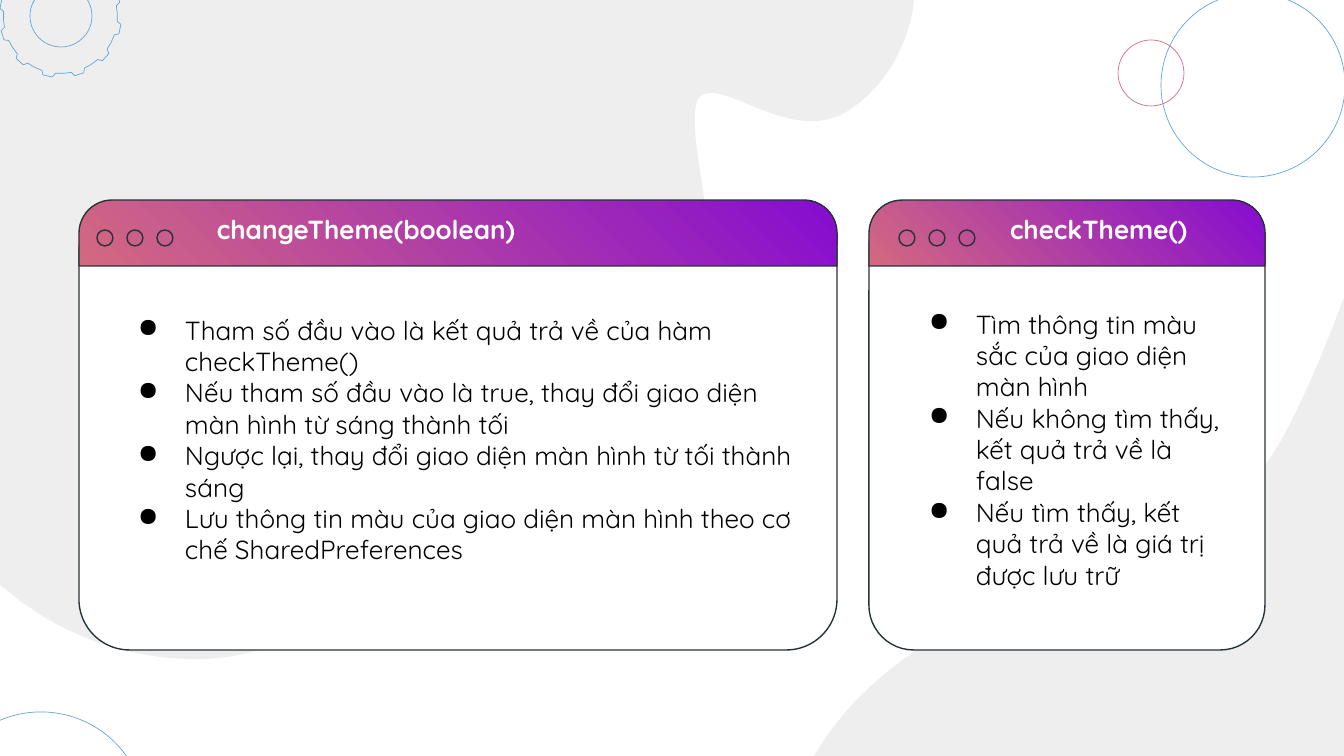
from math import cos, radians, sin

from lxml.etree import SubElement
from pptx import Presentation
from pptx.dml.color import RGBColor
from pptx.enum.shapes import MSO_SHAPE
from pptx.enum.text import MSO_AUTO_SIZE
from pptx.oxml.ns import qn
from pptx.util import Emu, Pt

WHITE = RGBColor(0xFF, 0xFF, 0xFF)
BLACK = RGBColor(0x00, 0x00, 0x00)
GRAY = RGBColor(0xD6, 0xD7, 0xD7)
BLUE = RGBColor(0x63, 0xA4, 0xD5)
PINK = RGBColor(0xD3, 0x69, 0x80)
PURPLE = RGBColor(0x86, 0x0C, 0xD1)
DARK = RGBColor(0x26, 0x32, 0x38)
FONT = "Quicksand"
SCALE = 914400 / 134.4  # EMU in one px


def px(*lengths):
    return [Emu(round(length * SCALE)) for length in lengths]


def outline(shape, color, width):
    shape.shadow.inherit = False
    shape.fill.background()
    shape.line.color.rgb = color
    shape.line.width = Pt(width)


presentation = Presentation()
presentation.slide_width, presentation.slide_height = px(1344, 756)
slide = presentation.slides.add_slide(presentation.slide_layouts[6])
shapes = slide.shapes

# Background blobs: one point is a straight edge, three points are a Bézier curve
upper_blob = [
    [(207, 659)],
    [(277, 655), (339, 622), (371, 569)],
    [(426, 476), (414, 320), (477, 316)],
    [(527, 317), (556, 382), (605, 379)],
    [(620, 379), (637, 371), (657, 352)],
    [(743, 274), (691, 177), (695, 114)],
    [(695, 98), (702, 93), (710, 93)],
    [(732, 91), (775, 124), (816, 121)],
    [(824, 121), (831, 118), (839, 116)],
    [(898, 86), (922, 11), (913, -31)],
    [(903, -74), (930, -130), (930, -130)],
    [(-145, -71)],
    [(-145, -71), (-146, 210), (-109, 396)],
    [(-109, 396), (-81, 542), (44, 617)],
    [(98, 649), (155, 661), (207, 659)],
]
lower_blob = [
    [(722, 954)],
    [(1434, 1118)],
    [(1683, 34)],
    [(1672, 34), (1493, 31), (1434, 101)],
    [(1374, 175), (1352, 310), (1281, 441)],
    [(1208, 570), (1055, 567), (942, 634)],
    [(828, 702), (796, 775), (769, 870)],
    [(757, 910), (739, 935), (722, 954)],
]
STEPS = 16
for segments in (upper_blob, lower_blob):
    points = [segments[0][0]]
    for segment in segments[1:]:
        if len(segment) == 1:
            points += segment
            continue
        controls = [points[-1]] + segment
        for step in range(1, STEPS + 1):
            t = step / STEPS
            weights = [(1 - t) ** 3, 3 * t * (1 - t) ** 2, 3 * t * t * (1 - t), t ** 3]
            points.append(tuple(sum(weight * point[axis] for weight, point in zip(weights, controls))
                                for axis in (0, 1)))
    builder = shapes.build_freeform(*px(*points[0]))
    builder.add_line_segments([px(*point) for point in points[1:]], close=True)
    blob = builder.convert_to_shape()
    blob.shadow.inherit = False
    blob.fill.solid()
    blob.fill.fore_color.rgb = GRAY
    color = blob._element.spPr.find(qn("a:solidFill")).find(qn("a:srgbClr"))
    SubElement(color, qn("a:alpha"), val="41000")
    blob.line.fill.background()

# Gear: twelve teeth, each given as angle from its middle and radius
TOOTH = [(-7, 57), (-4.5, 61), (4.5, 61), (7, 57), (15, 57)]
gear_points = []
for tooth in range(12):
    for offset, radius in TOOTH:
        angle = radians(12 + 30 * tooth + offset)
        gear_points.append(px(60.5 + radius * cos(angle), 16.5 + radius * sin(angle)))
builder = shapes.build_freeform(*gear_points[0])
builder.add_line_segments(gear_points[1:], close=True)
outline(builder.convert_to_shape(), BLUE, 0.36)

# Thin circles, the first one inside the gear
for left, top, size, color in [(30, -15, 62, BLUE), (-64, 712, 210, BLUE),
                               (1161, -7, 184, BLUE), (1118, 40, 66, PINK)]:
    circle = shapes.add_shape(MSO_SHAPE.OVAL, *px(left, top, size, size))
    outline(circle, color, 0.36)

# Windows: frame, header bar and three buttons
for left, width, first_button in [(79, 758, 97), (869, 396, 899)]:
    window = shapes.add_group_shape().shapes
    frame = window.add_shape(MSO_SHAPE.ROUNDED_RECTANGLE, *px(left, 201, width, 449))
    outline(frame, DARK, 0.75)
    frame.adjustments[0] = 0.113
    frame.fill.solid()
    frame.fill.fore_color.rgb = WHITE

    header = window.add_shape(MSO_SHAPE.ROUND_2_SAME_RECTANGLE, *px(left, 200, width, 66))
    outline(header, DARK, 0.75)
    header.rotation = 180
    header.adjustments[0] = 0
    header.adjustments[1] = 0.5
    header.fill.gradient()
    header.fill.gradient_angle = 225
    for stop, color in zip(header.fill.gradient_stops, (PINK, PURPLE)):
        stop.color.rgb = color

    for index in range(3):
        button = window.add_shape(MSO_SHAPE.OVAL, *px(first_button + 30 * index, 230, 16, 16))
        outline(button, DARK, 0.75)

# Titles and bulleted lists
texts = [
    ((204, 200, 380, 59), True, ["changeTheme(boolean)"]),
    ((997, 200, 250, 59), True, ["checkTheme()"]),
    ((105, 301, 707, 281), False, [
        "Tham số đầu vào là kết quả trả về của hàm checkTheme()",
        "Nếu tham số đầu vào là true, thay đổi giao diện màn hình từ sáng thành tối",
        "Ngược lại, thay đổi giao diện màn hình từ tối thành sáng",
        "Lưu thông tin màu của giao diện màn hình theo cơ chế SharedPreferences",
    ]),
    ((896, 295, 343, 312), False, [
        "Tìm thông tin màu sắc của giao diện màn hình",
        "Nếu không tìm thấy, kết quả trả về là false",
        "Nếu tìm thấy, kết quả trả về là giá trị được lưu trữ",
    ]),
]
for box, is_title, lines in texts:
    frame = shapes.add_textbox(*px(*box)).text_frame
    frame.word_wrap = True
    frame.auto_size = MSO_AUTO_SIZE.SHAPE_TO_FIT_TEXT
    frame.margin_left, frame.margin_top, frame.margin_right, frame.margin_bottom = px(13, 13, 13, 13)
    for index, line in enumerate(lines):
        paragraph = frame.add_paragraph() if index else frame.paragraphs[0]
        if not is_title:
            properties = paragraph._p.get_or_add_pPr()
            indent, hanging = px(67, -47)
            properties.set("marL", str(indent))
            properties.set("indent", str(hanging))
            bullet_color = SubElement(properties, qn("a:buClr"))
            SubElement(bullet_color, qn("a:srgbClr"), val=str(BLACK))
            SubElement(properties, qn("a:buChar"), char="●")
        run = paragraph.add_run()
        run.text = line
        run.font.name = FONT
        run.font.size = Pt(14)
        run.font.bold = is_title
        run.font.color.rgb = WHITE if is_title else BLACK

presentation.save("out.pptx")
